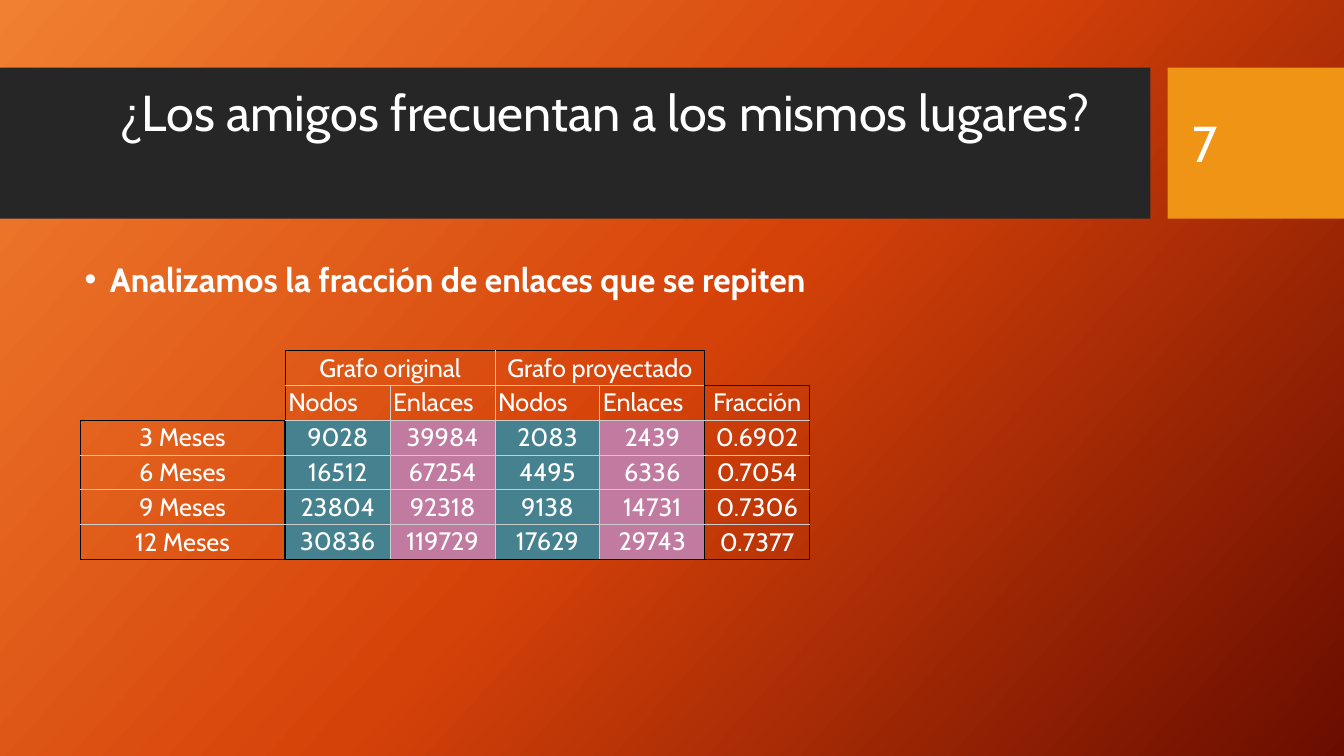
from lxml import etree
from copy import deepcopy
from pptx import Presentation
from pptx.dml.color import RGBColor
from pptx.enum.shapes import MSO_SHAPE
from pptx.enum.text import MSO_ANCHOR, PP_ALIGN
from pptx.oxml.ns import qn
from pptx.util import Inches, Pt

RECTANGLE = MSO_SHAPE.RECTANGLE
TOP, MIDDLE, BOTTOM = MSO_ANCHOR.TOP, MSO_ANCHOR.MIDDLE, MSO_ANCHOR.BOTTOM
LEFT, CENTER = PP_ALIGN.LEFT, PP_ALIGN.CENTER

THEME = {
    "font": "Cabin", "text": "FFFFFF",
    "title_size": 36, "body_size": 24, "table_size": 18,
    "background": [(0, "F18031"), (0.5, "D54209"), (1, "6A0D00")],
    "title_bar": "262626", "number_box": "F09415",
    "nodes": "45818E", "links": "C27BA0",
    "outer_line": "000000", "inner_line": "CCCCCC",
}

presentation = Presentation()
presentation.slide_width, presentation.slide_height = Inches(13.33), Inches(7.5)
slide = presentation.slides.add_slide(presentation.slide_layouts[6])


def write(paragraph, text, size, alignment=LEFT, bold=False):
    paragraph.text = text
    paragraph.alignment = alignment
    paragraph.font.name = THEME["font"]
    paragraph.font.size = Pt(size)
    paragraph.font.bold = bold
    paragraph.font.color.rgb = RGBColor.from_string(THEME["text"])


def add_grid(left, top, column_width, rows, header_rows, fills):
    """Table with a dark outline, light inner lines and merged repeated labels."""
    row_count, column_count = len(rows), len(rows[0])
    table = slide.shapes.add_table(
        row_count, column_count, Inches(left), Inches(top),
        Inches(column_width * column_count), Inches(ROW_HEIGHT * row_count)).table
    table.first_row = table.horz_banding = False
    for row, labels in enumerate(rows):
        for column, label in enumerate(labels):
            if label is None:
                table.cell(row, column - 1).merge(table.cell(row, column))
    for row, labels in enumerate(rows):
        for column, label in enumerate(labels):
            cell = table.cell(row, column)
            cell.margin_left = cell.margin_right = Inches(0.03)
            cell.margin_top = cell.margin_bottom = Inches(0.02)
            is_header = row < header_rows
            cell.vertical_anchor = BOTTOM if is_header else MIDDLE
            if label:
                alignment = LEFT if label in ("Nodos", "Enlaces") else CENTER
                write(cell.text_frame.paragraphs[0], label, THEME["table_size"], alignment)
            # Borders come before the fill in the cell properties
            outer_edges = {
                "lnL": column == 0, "lnR": column + cell.span_width == column_count,
                "lnT": row == 0, "lnB": row == row_count - 1}
            properties = cell._tc.get_or_add_tcPr()
            for edge, is_outer in outer_edges.items():
                line = etree.SubElement(properties, qn("a:" + edge), w=str(Pt(0.75)))
                solid = etree.SubElement(line, qn("a:solidFill"))
                color = THEME["outer_line" if is_outer else "inner_line"]
                etree.SubElement(solid, qn("a:srgbClr"), val=color)
            if fills and not is_header:
                cell.fill.solid()
                cell.fill.fore_color.rgb = RGBColor.from_string(THEME[fills[column % len(fills)]])
            else:
                cell.fill.background()


# Background gradient
background = slide.background.fill
background.gradient()
background.gradient_angle = 360 - 42
stop_list = slide.element.find(".//" + qn("a:gsLst"))
stop_list.append(deepcopy(stop_list[-1]))
for stop, (position, color) in zip(background.gradient_stops, THEME["background"]):
    stop.position = position
    stop.color.rgb = RGBColor.from_string(color)

# Title bar and number box
for left, width, color in [(0, 11.41, "title_bar"), (11.58, 1.75, "number_box")]:
    bar = slide.shapes.add_shape(
        RECTANGLE, Inches(left), Inches(0.67), Inches(width), Inches(1.5))
    bar.shadow.inherit = False
    bar.fill.solid()
    bar.fill.fore_color.rgb = RGBColor.from_string(THEME[color])
    bar.line.fill.background()

# Title, slide number and statement
texts = [
    ("¿Los amigos frecuentan a los mismos lugares?", (0.74, 0.82, 10.51, 1.18),
     "title_size", TOP, CENTER, False, 0.9),
    ("7", (11.73, 0.82, 1.26, 1.19), "title_size", MIDDLE, LEFT, False, 1),
    ("Analizamos la fracción de enlaces que se repiten", (0.74, 2.56, 10.51, 0.6),
     "body_size", TOP, LEFT, True, 0.9),
]
for text, box, size, anchor, alignment, bold, line_spacing in texts:
    frame = slide.shapes.add_textbox(*map(Inches, box)).text_frame
    frame.word_wrap = True
    frame.vertical_anchor = anchor
    paragraph = frame.paragraphs[0]
    write(paragraph, text, THEME[size], alignment, bold)
    paragraph.line_spacing = line_spacing

# The statement, last in the list, carries a bullet
paragraph.space_before = Pt(10)
bullet_properties = paragraph._p.get_or_add_pPr()
bullet_properties.set("marL", str(Inches(0.25)))
bullet_properties.set("indent", str(-Inches(0.25)))
bullet_font = etree.Element(qn("a:buFont"), typeface="Arial")
bullet = etree.Element(qn("a:buChar"), char="•")
run_defaults = bullet_properties.find(qn("a:defRPr"))
run_defaults.addprevious(bullet_font)
run_defaults.addprevious(bullet)

# Three tables on one shared row grid
GRID_TOP, ROW_HEIGHT = 3.48, 2.07 / 6
graph_rows = [
    ["Grafo original", None, "Grafo proyectado", None],
    ["Nodos", "Enlaces"] * 2,
    ["9028", "39984", "2083", "2439"],
    ["16512", "67254", "4495", "6336"],
    ["23804", "92318", "9138", "14731"],
    ["30836", "119729", "17629", "29743"],
]
period_rows = [[f"{months} Meses"] for months in (3, 6, 9, 12)]
fraction_rows = [["Fracción"], ["0.6902"], ["0.7054"], ["0.7306"], ["0.7377"]]

add_grid(2.83, GRID_TOP, 1.04, graph_rows, 2, ["nodes", "links"])
add_grid(0.8, GRID_TOP + 2 * ROW_HEIGHT, 2.02, period_rows, 0, [])
add_grid(6.99, GRID_TOP + ROW_HEIGHT, 1.04, fraction_rows, 1, [])

presentation.save("out.pptx")
